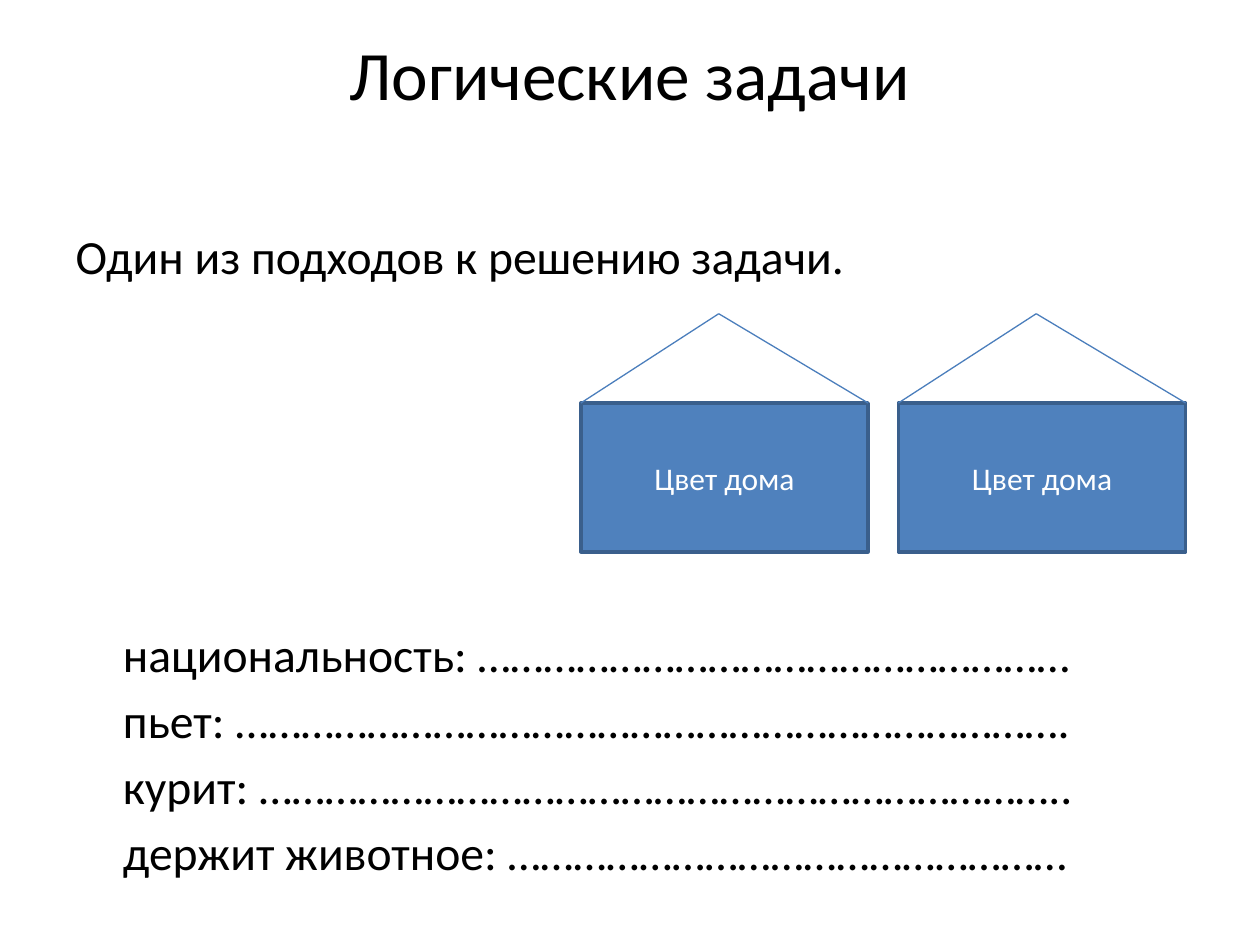
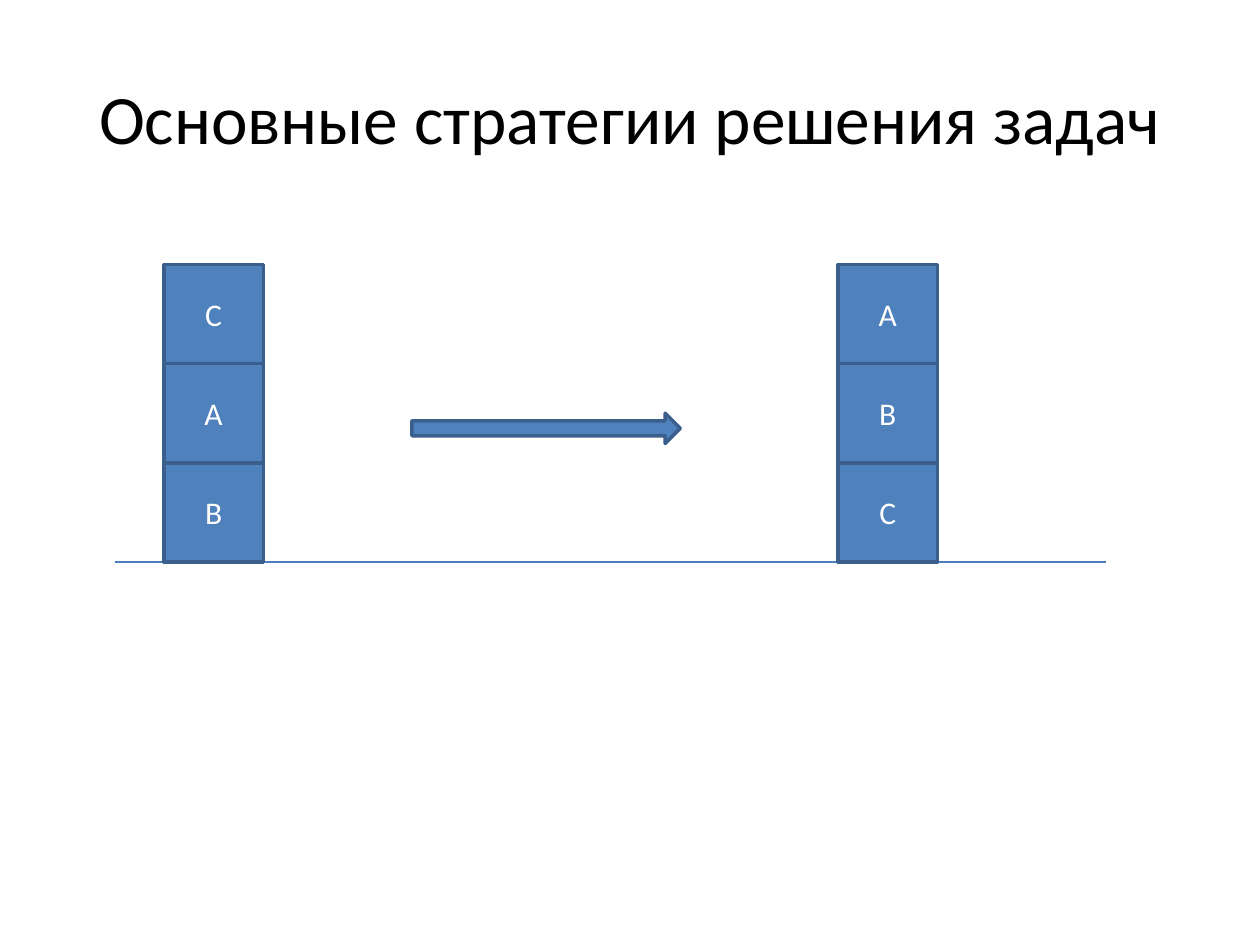
import pptx
import pptx.dml.color
import pptx.enum.shapes
import pptx.enum.text
import pptx.util
from lxml import etree
from pptx.oxml.ns import qn

COLORS = {"text": "000000", "label": "FFFFFF", "fill": "4F81BD",
          "edge": "3A5F8C", "line": "4B7EBC"}
FONT = "Calibri"
SHAPE = pptx.enum.shapes.MSO_SHAPE
ALIGN = pptx.enum.text.PP_ALIGN
ANCHOR = pptx.enum.text.MSO_ANCHOR

# The slide is a grid of 100 columns by 75 rows
WIDTH, HEIGHT = pptx.util.Inches(10), pptx.util.Inches(7.5)
COLUMN, ROW = WIDTH / 100, HEIGHT / 75
TITLE_BOX = (5, 3, 90, 12.5)
HIGH_TITLE_BOX = (5, 2.5, 90, 13)


def cells(x, y):
    return round(x * COLUMN), round(y * ROW)


def color(name):
    return pptx.dml.color.RGBColor.from_string(COLORS[name])


def place(part, box):
    left, top, width, height = box
    part.left, part.top = cells(left, top)
    part.width, part.height = cells(width, height)


def write(paragraph, text, size, ink="text", align=ALIGN.LEFT, before=0, indent=0):
    run = paragraph.add_run()
    run.text = text
    run.font.name, run.font.size = FONT, pptx.util.Pt(size)
    run.font.color.rgb = color(ink)
    paragraph.alignment = align
    paragraph.space_before = pptx.util.Pt(before)
    properties = paragraph._p.get_or_add_pPr()
    properties.set("marL", str(round(indent * COLUMN)))
    properties.set("indent", "0")
    etree.SubElement(properties, qn("a:buNone"))


def add_title(slide, text, box=TITLE_BOX, anchor=ANCHOR.MIDDLE):
    title = slide.shapes.title
    place(title, box)
    frame = title.text_frame
    frame.auto_size = pptx.enum.text.MSO_AUTO_SIZE.NONE
    frame.vertical_anchor = anchor
    frame.margin_top = frame.margin_bottom = 0
    write(frame.paragraphs[0], text, 39.6, align=ALIGN.CENTER)


def add_block(slide, kind, box, label=""):
    block = slide.shapes.add_shape(kind, 0, 0, 0, 0)
    place(block, box)
    block.shadow.inherit = False
    block.fill.solid()
    block.fill.fore_color.rgb = color("fill")
    block.line.color.rgb = color("edge")
    block.line.width = pptx.util.Pt(2)
    if label:
        block.text_frame.vertical_anchor = ANCHOR.MIDDLE
        write(block.text_frame.paragraphs[0], label, 18, "label", ALIGN.CENTER)


def add_line(slide, start, end):
    line = slide.shapes.add_connector(
        pptx.enum.shapes.MSO_CONNECTOR.STRAIGHT, *cells(*start), *cells(*end))
    line.line.color.rgb = color("line")
    line.line.width = pptx.util.Pt(0.75)
    etree.SubElement(line._element.spPr, qn("a:effectLst"))


def add_house(slide, box, label):
    left, top, width, height = box
    eaves = top + 0.375 * height
    ridge = (left + 0.48 * width, top)
    add_block(slide, SHAPE.RECTANGLE, (left, eaves, width, 0.625 * height), label)
    add_line(slide, (left, eaves), ridge)
    add_line(slide, ridge, (left + width, eaves))


def add_stack(slide, box, letters):
    left, top, width, height = box
    side = height / len(letters)
    for level, letter in enumerate(letters):
        add_block(slide, SHAPE.RECTANGLE, (left, top + level * side, width, side), letter)


def add_questions(slide, box, intro, fields):
    body = slide.placeholders[1]
    place(body, box)
    frame = body.text_frame
    frame.auto_size = pptx.enum.text.MSO_AUTO_SIZE.NONE
    write(frame.paragraphs[0], intro, 27.2, before=5)
    for number, field in enumerate(fields):
        # The first field leaves room for the houses
        write(frame.add_paragraph(), field, 27.2, before=5 if number else 195, indent=3.75)


def logic_slide(deck):
    slide = deck.slides.add_slide(deck.slide_layouts[1])
    add_title(slide, "Логические задачи", HIGH_TITLE_BOX, ANCHOR.TOP)
    add_questions(slide, (5, 17.5, 90, 49.5), "Один из подходов к решению задачи.", [
        "национальность: ………………………………………………",
        "пьет: ………………………………………………………………….",
        "курит: ………………………………………………………………..",
        "держит животное: ……………………………………………",
    ])
    for house in range(2):
        add_house(slide, (46.1 + house * 25.2, 24.9, 22.8, 18.9), "Цвет дома")


def strategy_slide(deck):
    slide = deck.slides.add_slide(deck.slide_layouts[5])
    add_title(slide, "Основные стратегии решения задач")
    # Ground, then the stacks before and after
    add_line(slide, (9.1, 44.6), (87.8, 44.6))
    for left, letters in ((13, "САВ"), (66.5, "АВС")):
        add_stack(slide, (left, 21, 7.9, 23.6), letters)
    add_block(slide, SHAPE.RIGHT_ARROW, (32.7, 32.8, 21.3, 2.4))


def main():
    deck = pptx.Presentation()
    deck.slide_width, deck.slide_height = WIDTH, HEIGHT
    logic_slide(deck)
    strategy_slide(deck)
    deck.save("out.pptx")


if __name__ == "__main__":
    main()
